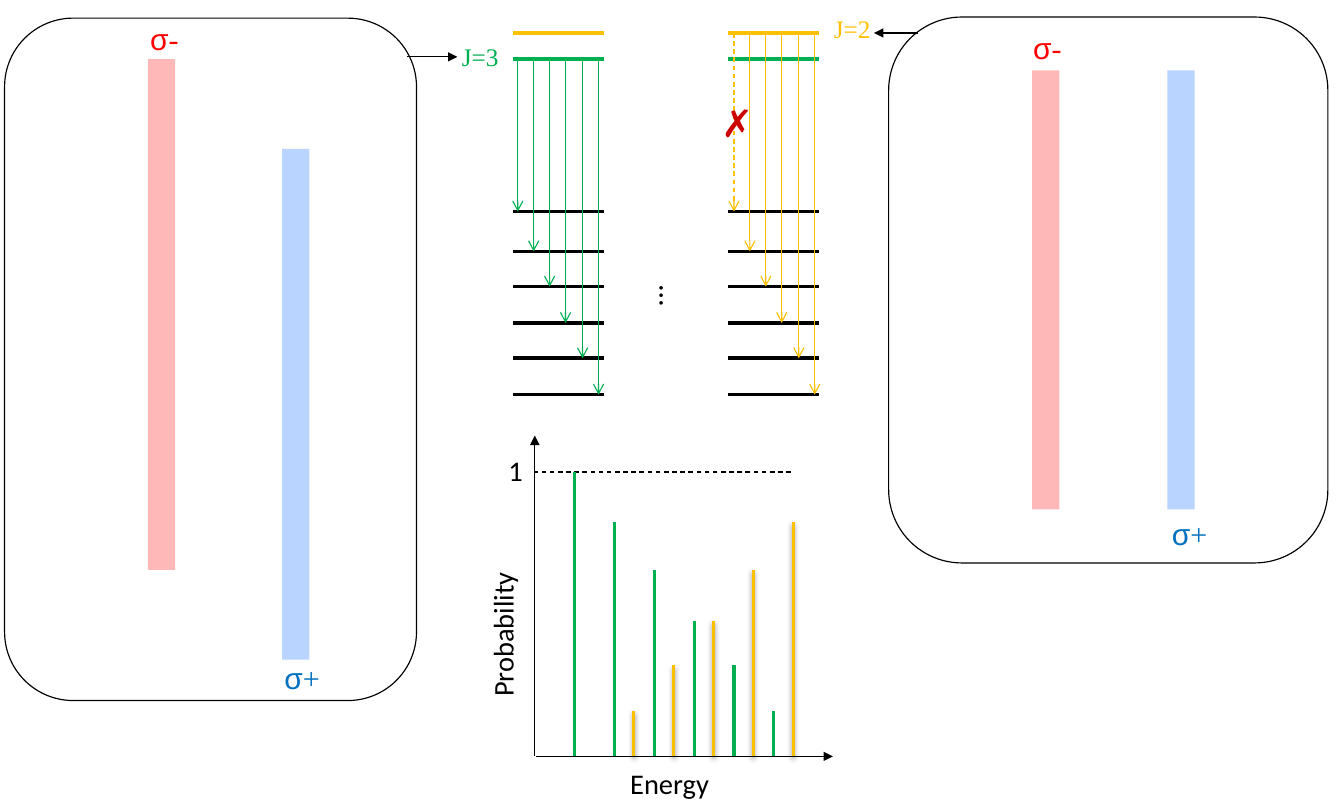
from dataclasses import dataclass
from typing import Optional

from lxml.etree import SubElement
from pptx import Presentation
from pptx.dml.color import RGBColor
from pptx.enum.dml import MSO_LINE_DASH_STYLE as Dash
from pptx.enum.shapes import MSO_CONNECTOR as Connector, MSO_SHAPE as Shape
from pptx.enum.text import MSO_AUTO_SIZE as AutoSize
from pptx.oxml.ns import qn
from pptx.util import Cm, Emu, Pt

PX = 9144  # 100 px to the inch
BLACK, GREEN, AMBER = "000000", "00B050", "FFC000"
RED, BLUE, DEEP_BLUE, CROSS_RED = "FF0000", "0066FF", "0070C0", "CC0000"

LEVEL_YS = [186, 221, 252, 284, 315, 347]
J2_Y, J3_Y = 29, 52
LEVEL_WIDTH = 80
ARROW_STEP = 14.25
BASE_Y = 665
BAR_TOPS = [415, 459, 501, 546, 585, 625]
BAR_STEP = 35


@dataclass
class Run:
    text: str
    font: str
    size: int
    color: str


@dataclass
class Bar:
    """A translucent column with its polarisation label."""
    left: int
    top: int
    height: int
    color: str
    label: tuple[int, int, int, int]
    sign: str
    label_color: str


@dataclass
class Panel:
    box: tuple[int, int, int, int]
    bars: list[Bar]
    arrow: tuple[int, int, int, int]


@dataclass
class Ladder:
    """Energy levels with decays from one upper level."""
    left: int
    arrow_left: int
    upper_y: int
    color: str
    first_dashed: bool


PANELS = [
    Panel((4, 16, 362, 600), [
        Bar(130, 52, 449, RED, (122, 13, 59, 40), "-", RED),
        Bar(248, 131, 449, BLUE, (240, 575, 72, 44), "+", DEEP_BLUE),
    ], (358, 50, 402, 50)),
    Panel((781, 15, 386, 480), [
        Bar(907, 62, 386, RED, (898, 21, 59, 40), "-", RED),
        Bar(1026, 62, 386, BLUE, (1020, 448, 72, 44), "+", DEEP_BLUE),
    ], (807, 29, 768, 29)),
]
LADDERS = [
    Ladder(451, 455, J3_Y, GREEN, False),
    Ladder(640, 645, J2_Y, AMBER, True),
]


def px(*lengths: int) -> list[Emu]:
    return [Emu(length * PX) for length in lengths]


def rgb(color: str) -> RGBColor:
    return RGBColor.from_string(color)


def add_line(slide, x1: int, y1: int, x2: int, y2: int, color: str = BLACK,
             width: float = 0.75, tail: Optional[str] = None,
             dashed: bool = False, shadow: bool = False) -> None:
    connector = slide.shapes.add_connector(Connector.STRAIGHT, *px(x1, y1, x2, y2))
    line = connector.line
    line.color.rgb = rgb(color)
    line.width = Pt(width)
    if dashed:
        line.dash_style = Dash.DASH
    properties = connector.element.spPr
    if tail:
        SubElement(properties.find(qn("a:ln")), qn("a:tailEnd"), type=tail)
    effects = SubElement(properties, qn("a:effectLst"))
    if shadow:
        outer = SubElement(effects, qn("a:outerShdw"), blurRad="40000",
                           dist="20000", dir="5400000", rotWithShape="0")
        shade = SubElement(outer, qn("a:srgbClr"), val=BLACK)
        SubElement(shade, qn("a:alpha"), val="38000")


def add_text(slide, box: tuple[int, int, int, int], *runs: Run,
             wrap: bool = False, rotation: int = 0, vertical: bool = False) -> None:
    shape = slide.shapes.add_textbox(*px(*box))
    shape.rotation = rotation
    frame = shape.text_frame
    frame.word_wrap = wrap
    frame.auto_size = AutoSize.SHAPE_TO_FIT_TEXT
    if vertical:
        shape.element.txBody.find(qn("a:bodyPr")).set("vert", "eaVert")
    for item in runs:
        run = frame.paragraphs[0].add_run()
        run.text = item.text
        run.font.name = item.font
        run.font.size = Pt(item.size)
        run.font.color.rgb = rgb(item.color)


def add_bar(slide, bar: Bar) -> None:
    shape = slide.shapes.add_shape(
        Shape.RECTANGLE, *px(bar.left, bar.top, 24, bar.height))
    shape.shadow.inherit = False
    shape.fill.solid()
    shape.fill.fore_color.rgb = rgb(bar.color)
    shape.line.fill.background()
    color = shape.element.spPr.find(qn("a:solidFill")).find(qn("a:srgbClr"))
    SubElement(color, qn("a:alpha"), val="28000")
    add_text(slide, bar.label, Run("σ", "Arial", 19, bar.label_color),
             Run(bar.sign, "Times New Roman", 19, bar.label_color), wrap=True)


def add_panel(slide, panel: Panel) -> None:
    shape = slide.shapes.add_shape(Shape.FLOWCHART_ALTERNATE_PROCESS, *px(*panel.box))
    shape.shadow.inherit = False
    shape.fill.background()
    shape.line.color.rgb = rgb(BLACK)
    shape.line.width = Pt(0.75)
    for bar in panel.bars:
        add_bar(slide, bar)
    add_line(slide, *panel.arrow, tail="triangle")


def add_ladder(slide, ladder: Ladder) -> None:
    levels = [(y, BLACK) for y in LEVEL_YS] + [(J2_Y, AMBER), (J3_Y, GREEN)]
    for y, color in levels:
        add_line(slide, ladder.left, y, ladder.left + LEVEL_WIDTH, y, color, 2.25)
    for index, y in enumerate(LEVEL_YS):
        x = ladder.arrow_left + int(ARROW_STEP * index)
        add_line(slide, x, ladder.upper_y, x, y, ladder.color, tail="arrow",
                 dashed=ladder.first_dashed and index == 0)


def add_probability_plot(slide) -> None:
    add_line(slide, 470, BASE_Y, 470, 383, tail="triangle")
    add_line(slide, 471, BASE_Y, 732, BASE_Y, tail="triangle")
    add_text(slide, (544, 669, 103, 45), Run("Energy", "Calibri", 18, BLACK))
    add_text(slide, (371, 527, 146, 45), Run("Probability", "Calibri", 18, BLACK),
             rotation=270)
    add_text(slide, (437, 393, 36, 45), Run("1", "Calibri", 18, BLACK))
    add_line(slide, 695, 415, 470, 415, dashed=True)
    for index, top in enumerate(BAR_TOPS):
        x = 505 + BAR_STEP * index
        add_line(slide, x, BASE_Y, x, top, GREEN, 2)
    for index, top in enumerate(reversed(BAR_TOPS[1:])):
        x = 557 + BAR_STEP * index
        add_line(slide, x, BASE_Y, x, top, AMBER, 2, shadow=True)


def main() -> None:
    presentation = Presentation()
    presentation.slide_width = Cm(30)
    presentation.slide_height = Cm(18)
    slide = presentation.slides.add_slide(presentation.slide_layouts[6])
    for panel in PANELS:
        add_panel(slide, panel)
    add_probability_plot(slide)
    for ladder in LADDERS:
        add_ladder(slide, ladder)
    add_text(slide, (396, 31, 53, 37), Run("J=3", "Times New Roman", 16, GREEN))
    add_text(slide, (723, 7, 53, 37), Run("J=2", "Times New Roman", 16, AMBER))
    add_text(slide, (561, 241, 50, 27), Run("…", "Calibri", 19, BLACK), vertical=True)
    add_text(slide, (624, 83, 42, 50), Run("✗", "Arial", 24, CROSS_RED))
    presentation.save("out.pptx")


if __name__ == "__main__":
    main()
